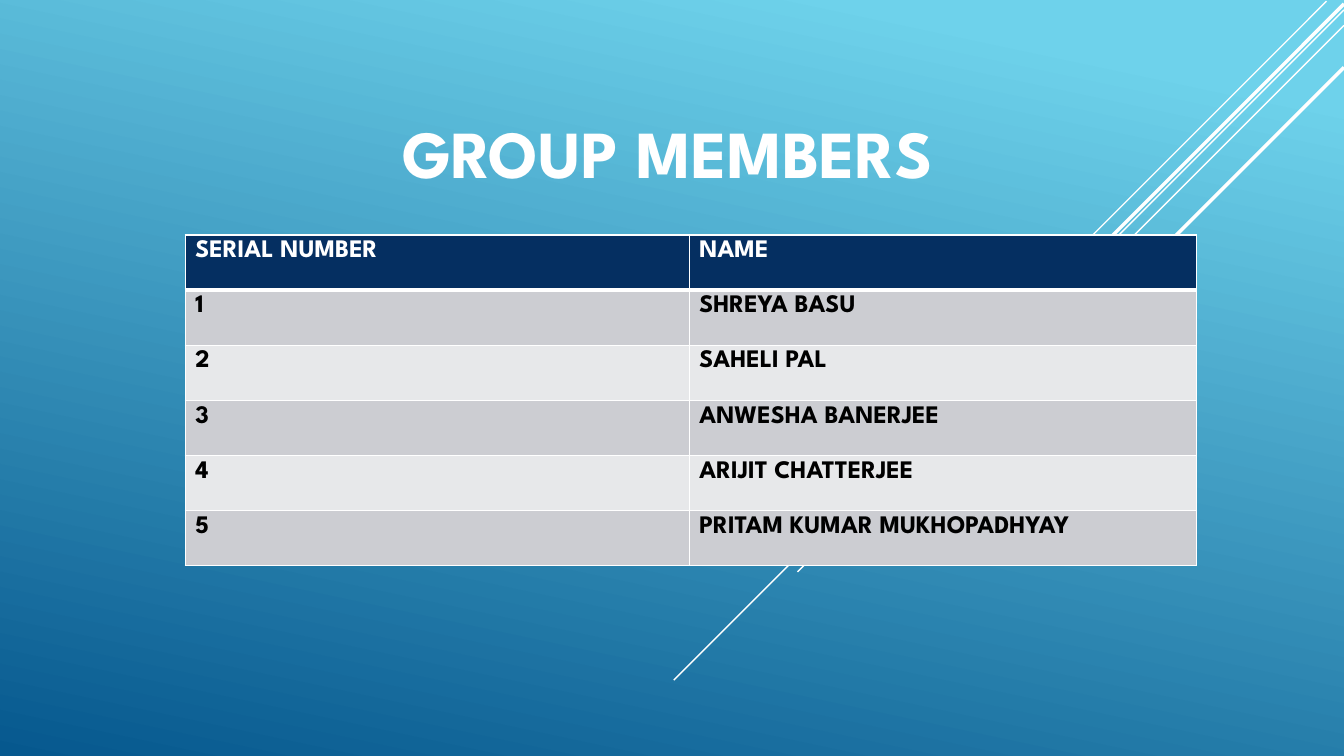
from dataclasses import dataclass

from lxml import etree
from pptx import Presentation
from pptx.dml.color import RGBColor
from pptx.enum.shapes import MSO_CONNECTOR
from pptx.enum.text import MSO_ANCHOR, MSO_AUTO_SIZE, PP_ALIGN
from pptx.oxml.ns import qn
from pptx.slide import Slide
from pptx.table import _Cell
from pptx.text.text import TextFrame
from pptx.util import Cm, Pt

STRAIGHT = MSO_CONNECTOR.STRAIGHT
TOP, BOTTOM = MSO_ANCHOR.TOP, MSO_ANCHOR.BOTTOM
LEFT, CENTER = PP_ALIGN.LEFT, PP_ALIGN.CENTER
NO_AUTOFIT = MSO_AUTO_SIZE.NONE


@dataclass(frozen=True)
class Theme:
    font: str = "League Spartan"
    title_size: float = 48
    table_size: float = 18
    white: str = "FFFFFF"
    black: str = "000000"
    sky: str = "6ED2EB"
    ocean: str = "06588E"
    header: str = "052F61"
    bands: tuple[str, str] = ("CCCDD2", "E7E8EA")
    thin: float = 1
    medium: float = 2.5
    thick: float = 3


@dataclass(frozen=True)
class Ray:
    """A 45° line running down and left from its start, in centimetres."""
    left: float
    top: float
    run: float
    weight: float


THEME = Theme()
SLIDE_WIDTH, SLIDE_HEIGHT = 33.87, 19.05
RAYS = (
    Ray(33.43, 0.03, 10.58, THEME.thin),
    Ray(SLIDE_WIDTH, 0.25, 16.89, THEME.thin),
    Ray(SLIDE_WIDTH, 0.64, 13.77, THEME.thin),
    Ray(SLIDE_WIDTH, 0.1, 13.47, THEME.medium),
    Ray(SLIDE_WIDTH, 1.7, 12.07, THEME.medium),
)
COLUMN_WIDTHS = (12.7, 12.78)
ROW_HEIGHT = 1.39
HEADINGS = ("SERIAL NUMBER", "NAME")
MEMBERS = (
    "SHREYA BASU",
    "SAHELI PAL",
    "ANWESHA BANERJEE",
    "ARIJIT CHATTERJEE",
    "PRITAM KUMAR MUKHOPADHYAY",
)


def write_text(frame: TextFrame, text: str, *, size: float, color: str,
               align: PP_ALIGN = LEFT, anchor: MSO_ANCHOR = TOP) -> None:
    frame.vertical_anchor = anchor
    para = frame.paragraphs[0]
    para.alignment = align
    span = para.add_run()
    span.text = text
    span.font.name = THEME.font
    span.font.size = Pt(size)
    span.font.bold = True
    span.font.color.rgb = RGBColor.from_string(color)


def paint_background(slide: Slide) -> None:
    fill = slide.background.fill
    fill.gradient()
    fill.gradient_angle = 360 - 102
    stops = ((0.1, THEME.sky), (1, THEME.ocean))
    for stop, (position, color) in zip(fill.gradient_stops, stops):
        stop.position = position
        stop.color.rgb = RGBColor.from_string(color)


def draw_ray(slide: Slide, ray: Ray) -> None:
    line = slide.shapes.add_connector(
        STRAIGHT, Cm(ray.left), Cm(ray.top),
        Cm(ray.left - ray.run), Cm(ray.top + ray.run))
    line.line.color.rgb = RGBColor.from_string(THEME.white)
    line.line.width = Pt(ray.weight)
    etree.SubElement(line._element.spPr, qn("a:effectLst"))


def set_borders(cell: _Cell, top: float, bottom: float) -> None:
    properties = cell._tc.get_or_add_tcPr()
    sides = (("L", THEME.thin), ("R", THEME.thin), ("T", top), ("B", bottom))
    for index, (side, weight) in enumerate(sides):
        border = etree.Element(qn(f"a:ln{side}"), w=str(Pt(weight)))
        solid = etree.SubElement(border, qn("a:solidFill"))
        etree.SubElement(solid, qn("a:srgbClr"), val=THEME.white)
        properties.insert(index, border)


def add_title(slide: Slide, text: str) -> None:
    title = slide.shapes.title
    title.left, title.top = Cm(0.2), Cm(2.24)
    title.width, title.height = Cm(33.25), Cm(2.72)
    title.text_frame.auto_size = NO_AUTOFIT
    write_text(title.text_frame, text, size=THEME.title_size,
               color=THEME.white, align=CENTER, anchor=BOTTOM)


def add_member_table(slide: Slide) -> None:
    rows = [HEADINGS]
    rows += [(str(number), name) for number, name in enumerate(MEMBERS, 1)]
    table = slide.shapes.add_table(
        len(rows), len(HEADINGS), Cm(4.67), Cm(5.92),
        Cm(sum(COLUMN_WIDTHS)), Cm(ROW_HEIGHT * len(rows))).table
    for column, width in zip(table.columns, COLUMN_WIDTHS):
        column.width = Cm(width)

    for row_index, values in enumerate(rows):
        is_header = row_index == 0
        fill = THEME.header if is_header else THEME.bands[(row_index - 1) % 2]
        color = THEME.white if is_header else THEME.black
        top = THEME.thick if row_index == 1 else THEME.thin
        bottom = THEME.thick if is_header else THEME.thin
        table.rows[row_index].height = Cm(ROW_HEIGHT)
        for column_index, value in enumerate(values):
            cell = table.cell(row_index, column_index)
            cell.fill.solid()
            cell.fill.fore_color.rgb = RGBColor.from_string(fill)
            set_borders(cell, top, bottom)
            write_text(cell.text_frame, value, size=THEME.table_size, color=color)


def main() -> None:
    deck = Presentation()
    deck.slide_width, deck.slide_height = Cm(SLIDE_WIDTH), Cm(SLIDE_HEIGHT)
    page = deck.slides.add_slide(deck.slide_layouts[0])
    subtitle = page.placeholders[1]._element
    subtitle.getparent().remove(subtitle)

    # Backdrop
    paint_background(page)
    for ray in RAYS:
        draw_ray(page, ray)

    # Content
    add_title(page, "GROUP MEMBERS")
    add_member_table(page)
    deck.save("out.pptx")


if __name__ == "__main__":
    main()
